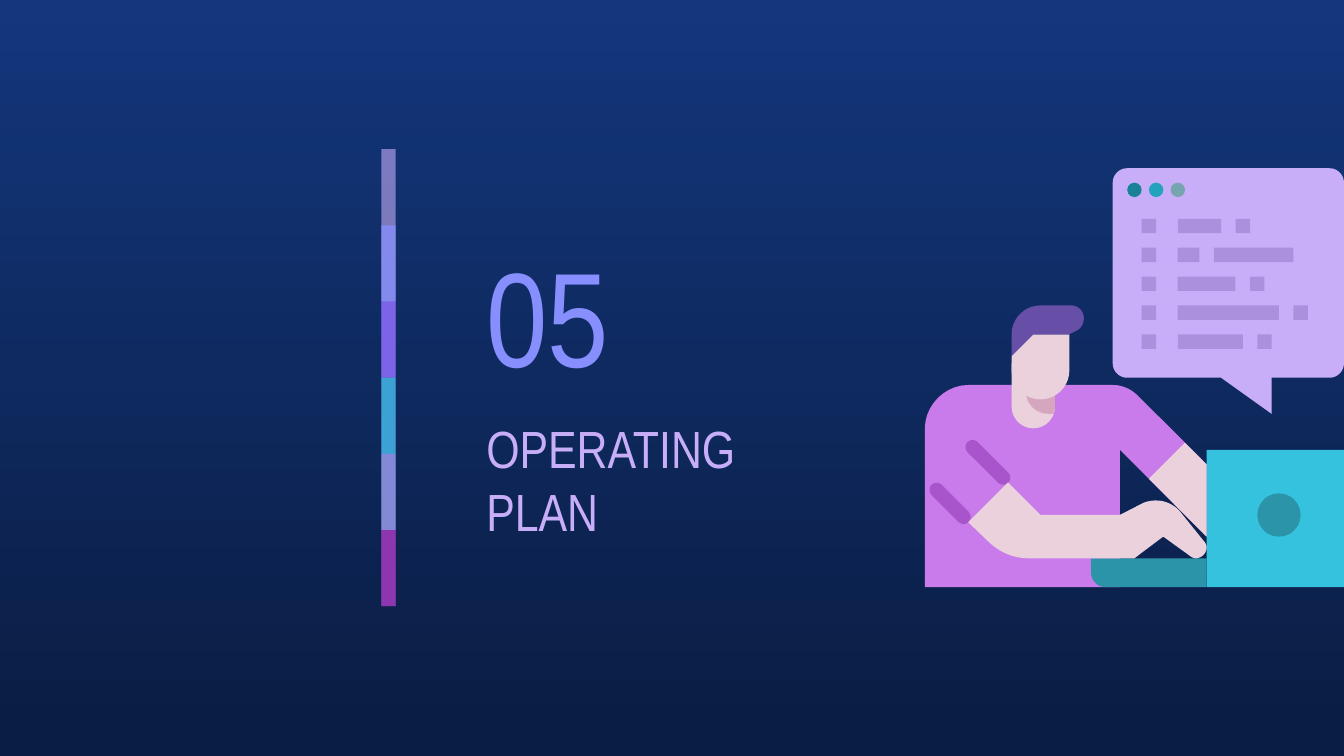
"""Build the section slide for the operating plan."""
from lxml import etree
from pptx import Presentation
from pptx import util as u
from pptx.dml.color import RGBColor
from pptx.enum import shapes, text
from pptx.oxml import ns

FONT = "Arial Narrow"
NIGHT = RGBColor(0x0A, 0x1D, 0x42)
NAVY = RGBColor(0x13, 0x36, 0x7C)
BLUE = RGBColor(0x87, 0x8F, 0xFF)
LILAC = RGBColor(0xC8, 0xAE, 0xF8)
MAUVE = RGBColor(0xAB, 0x90, 0xDE)
PINK = RGBColor(0xCA, 0x7B, 0xEB)
PLUM = RGBColor(0xA8, 0x55, 0xCB)
GRAPE = RGBColor(0x97, 0x2C, 0xB4)
VIOLET = RGBColor(0x91, 0x54, 0xF8)
HAIR = RGBColor(0x67, 0x4E, 0xA7)
SKIN = RGBColor(0xEA, 0xD1, 0xDC)
SHADE = RGBColor(0xD5, 0xA6, 0xBD)
CYAN = RGBColor(0x35, 0xC2, 0xDF)
TEAL = RGBColor(0x2B, 0x94, 0xA9)
DOTS = [RGBColor(0x19, 0x82, 0x98), RGBColor(0x22, 0xA2, 0xBC), RGBColor(0x76, 0xA5, 0xAF)]

WIDE, HIGH = 25.4, 14.29
LEFT, TOP = 17.48, 3.18
CELL = (WIDE - LEFT) / 29
STEPS = 10

BARS = [(LILAC, 59), (BLUE, 74), (VIOLET, 53), (CYAN, 76), (PINK, 56), (GRAPE, 74)]
CODE = [(3, 1), (1.5, 5.5), (4, 1), (7, 1), (4.5, 1)]

SHIRT = [(3, 15), (1.4, 15, 0, 16.4, 0, 18), (0, 29), (13.5, 29), (13.5, 19.5),
         (19.5, 25.5), (19.5, 20.5), (14.77, 15.77), (14.3, 15.3, 13.7, 15, 13, 15)]
BASE = [(11.5, 27), (11.5, 28), (11.5, 28.55, 11.95, 29, 12.5, 29), (19.5, 29), (19.5, 27)]
NECK = [(6, 13.5), (6, 16.5), (6, 17.33, 6.67, 18, 7.5, 18),
        (8.33, 18, 9, 17.33, 9, 16.5), (9, 13.5)]
CHIN = [(7, 13.5), (7, 15.5), (7, 16.33, 7.7, 17, 8.55, 17), (8.9, 17),
        (8.97, 16.84, 9, 16.67, 9, 16.5), (9, 13.5)]
ARM = [(5.75, 21.75), (3, 24.5), (4.35, 25.8), (5.1, 26.55, 6.1, 27, 7.15, 27),
       (14.5, 27), (16.5, 25.5), (18.3, 26.8), (18.4, 26.9, 18.6, 27, 18.75, 27),
       (19.15, 27, 19.5, 26.65, 19.5, 26.25), (19.5, 26.05, 19.4, 25.9, 19.3, 25.8),
       (17.65, 23.75), (17.25, 23.3, 16.65, 23, 16, 23),
       (15.7, 23, 15.35, 23.05, 15.05, 23.2), (13.5, 24), (8, 24)]
WRIST = [(18, 19), (15.5, 21.5), (19.5, 25.5), (19.5, 20.5)]
BUBBLE = [(14, 0), (13.45, 0, 13, 0.45, 13, 1), (13, 13.5), (13, 14.05, 13.45, 14.5, 14, 14.5),
          (20.5, 14.5), (24, 17), (24, 14.5), (28, 14.5), (28.55, 14.5, 29, 14.05, 29, 13.5),
          (29, 1), (29, 0.45, 28.55, 0, 28, 0)]
FACE = [(7.5, 11.5), (6, 13), (6, 14), (6, 15.1, 6.9, 16, 8, 16),
        (9.1, 16, 10, 15.1, 10, 14), (10, 11.5)]
CAP = [(8, 9.5), (6.9, 9.5, 6, 10.4, 6, 11.5), (6, 13), (7.5, 11.5), (10, 11.5),
       (10.5, 11.25), (10.8, 11.1, 11, 10.75, 11, 10.4), (11, 9.87, 10.6, 9.5, 10.1, 9.5)]


def paint(shape, color, alpha=None):
    """Give a shape a flat fill, with no line or shadow."""
    shape.shadow.inherit = False
    shape.fill.solid()
    shape.fill.fore_color.rgb = color
    shape.line.fill.background()
    if alpha:
        tint = shape._element.spPr.find(".//" + ns.qn("a:srgbClr"))
        etree.SubElement(tint, ns.qn("a:alpha"), val=str(alpha * 1000))


def trace(path):
    """Turn corners and cubic curves into a list of points."""
    points = [path[0]]
    for part in path[1:]:
        if len(part) == 2:
            points.append(part)
            continue
        knots = [points[-1], part[:2], part[2:4], part[4:]]
        for step in range(1, STEPS + 1):
            t = step / STEPS
            mix = ((1 - t) ** 3, 3 * t * (1 - t) ** 2, 3 * t * t * (1 - t), t ** 3)
            points.append(tuple(sum(m * k[axis] for m, k in zip(mix, knots)) for axis in (0, 1)))
    return points


def draw(group, path, color):
    """Draw a closed outline given in cells."""
    points = [(u.Cm(LEFT + CELL * x), u.Cm(TOP + CELL * y)) for x, y in trace(path)]
    pen = group.shapes.build_freeform(*points[0])
    pen.add_line_segments(points[1:], close=True)
    paint(pen.convert_to_shape(), color)


def block(group, x, y, w, h, color, kind=shapes.MSO_SHAPE.RECTANGLE):
    """Add a preset shape placed in cells."""
    shape = group.shapes.add_shape(kind, u.Cm(LEFT + CELL * x), u.Cm(TOP + CELL * y),
                                   u.Cm(CELL * w), u.Cm(CELL * h))
    paint(shape, color)
    return shape


def disc(group, x, y, size, color):
    """Add a circle placed in cells."""
    block(group, x, y, size, size, color, shapes.MSO_SHAPE.OVAL)


def fold(group, x, y, length):
    """Add a slanted sleeve edge around a centre point."""
    shape = block(group, x - length / 2, y - 0.5, length, 1, PLUM,
                  shapes.MSO_SHAPE.ROUNDED_RECTANGLE)
    shape.adjustments[0] = 0.5
    shape.rotation = 45


def write(shape, words, *, box, size, color, anchor):
    """Place a text shape and set its words and format."""
    shape.left, shape.top, shape.width, shape.height = map(u.Cm, box)
    frame = shape.text_frame
    frame.word_wrap = True
    frame.auto_size = text.MSO_AUTO_SIZE.NONE
    frame.vertical_anchor = anchor
    frame.margin_left = frame.margin_right = u.Cm(0.25)
    frame.margin_top = frame.margin_bottom = u.Cm(0.25)
    line = frame.paragraphs[0]
    line.alignment = text.PP_ALIGN.LEFT
    run = line.add_run()
    run.text = words
    run.font.name = FONT
    run.font.size = u.Pt(size)
    run.font.color.rgb = color


def shade(slide):
    """Set the gradient backdrop."""
    fill = slide.background.fill
    fill.gradient()
    fill.gradient_angle = 270
    for stop, place, color in zip(fill.gradient_stops, (0, 1), (NAVY, NIGHT)):
        stop.position = place
        stop.color.rgb = color


def man(group):
    """Draw the man at his laptop."""
    draw(group, SHIRT, PINK)
    fold(group, 1.74, 23.2, 3.65)
    fold(group, 4.36, 20.36, 4)
    block(group, 19.5, 19.5, 9.5, 9.5, CYAN)
    for path, color in ((BASE, TEAL), (NECK, SKIN), (CHIN, SHADE), (ARM, SKIN), (WRIST, SKIN)):
        draw(group, path, color)
    disc(group, 23, 22.5, 3, TEAL)


def speech(group):
    """Draw the bubble with its rows of code."""
    draw(group, BUBBLE, LILAC)
    for row, (first, last) in enumerate(CODE):
        for x, w in ((15, 1), (17.5, first), (18.5 + first, last)):
            block(group, x, 3.5 + 2 * row, w, 1, MAUVE)
    for col, color in enumerate(DOTS):
        disc(group, 14 + 1.5 * col, 1, 1, color)


def stripe(group):
    """Stack the sheer bars, each under the next."""
    x, top, w, step = 7.21, 2.82, 0.27, 1.44
    for row, (color, alpha) in enumerate(BARS):
        span = min(2, len(BARS) - row)
        bar = group.shapes.add_shape(shapes.MSO_SHAPE.RECTANGLE, u.Cm(x),
                                     u.Cm(top + step * row), u.Cm(w), u.Cm(step * span))
        paint(bar, color, alpha)


def main():
    """Build and save the slide."""
    deck = Presentation()
    deck.slide_width, deck.slide_height = u.Cm(WIDE), u.Cm(HIGH)
    slide = deck.slides.add_slide(deck.slide_layouts[5])
    shade(slide)
    write(slide.shapes.add_textbox(0, 0, 0, 0), "05", box=(8.94, 4.22, 4.45, 3.43),
          size=72, color=BLUE, anchor=text.MSO_ANCHOR.MIDDLE)
    write(slide.shapes.title, "OPERATING PLAN", box=(8.94, 7.62, 7.29, 2.44),
          size=28, color=LILAC, anchor=text.MSO_ANCHOR.TOP)
    scene = slide.shapes.add_group_shape()
    man(scene)
    speech(scene)
    draw(scene, FACE, SKIN)
    draw(scene, CAP, HAIR)
    stripe(slide.shapes.add_group_shape())
    deck.save("out.pptx")


if __name__ == "__main__":
    main()
